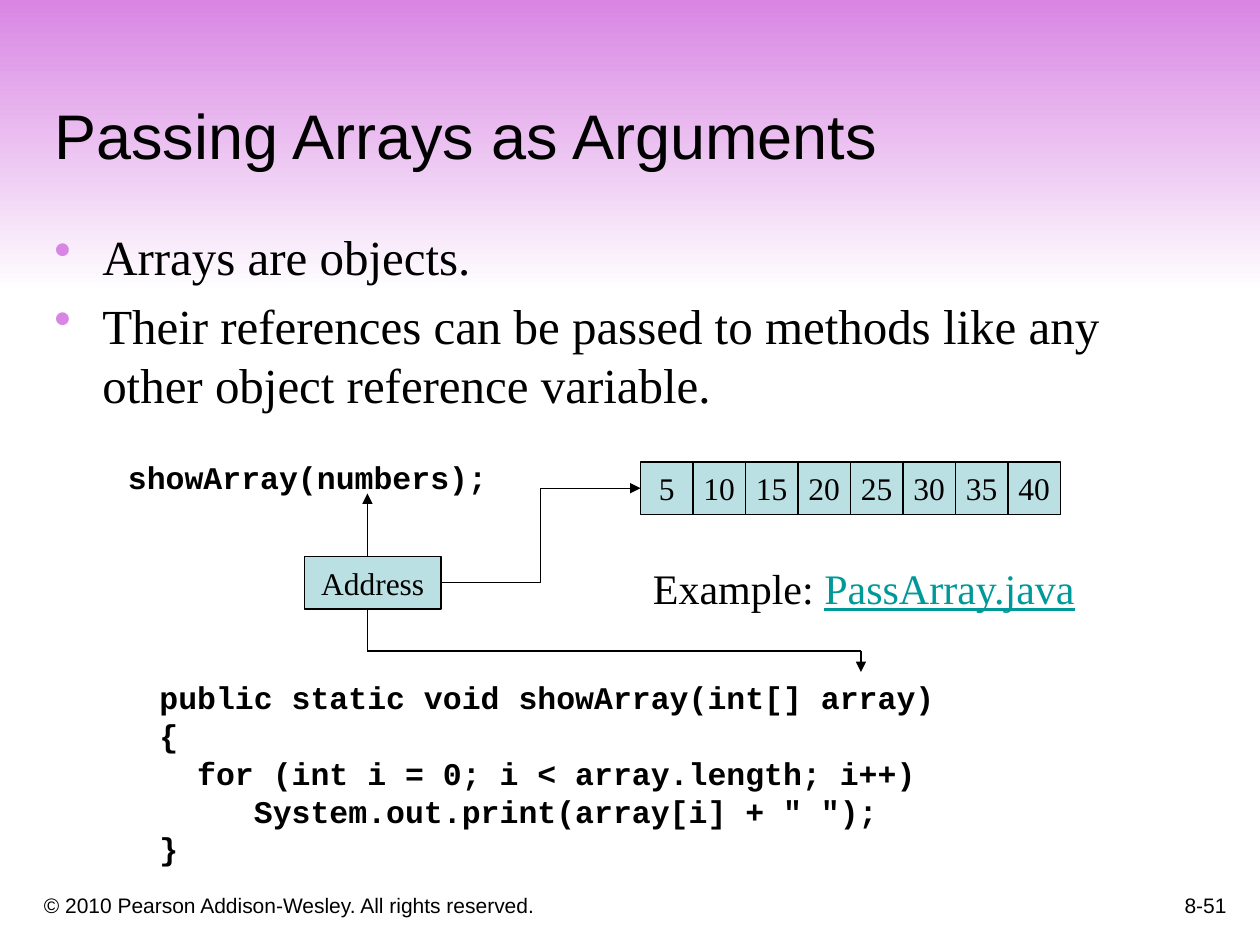
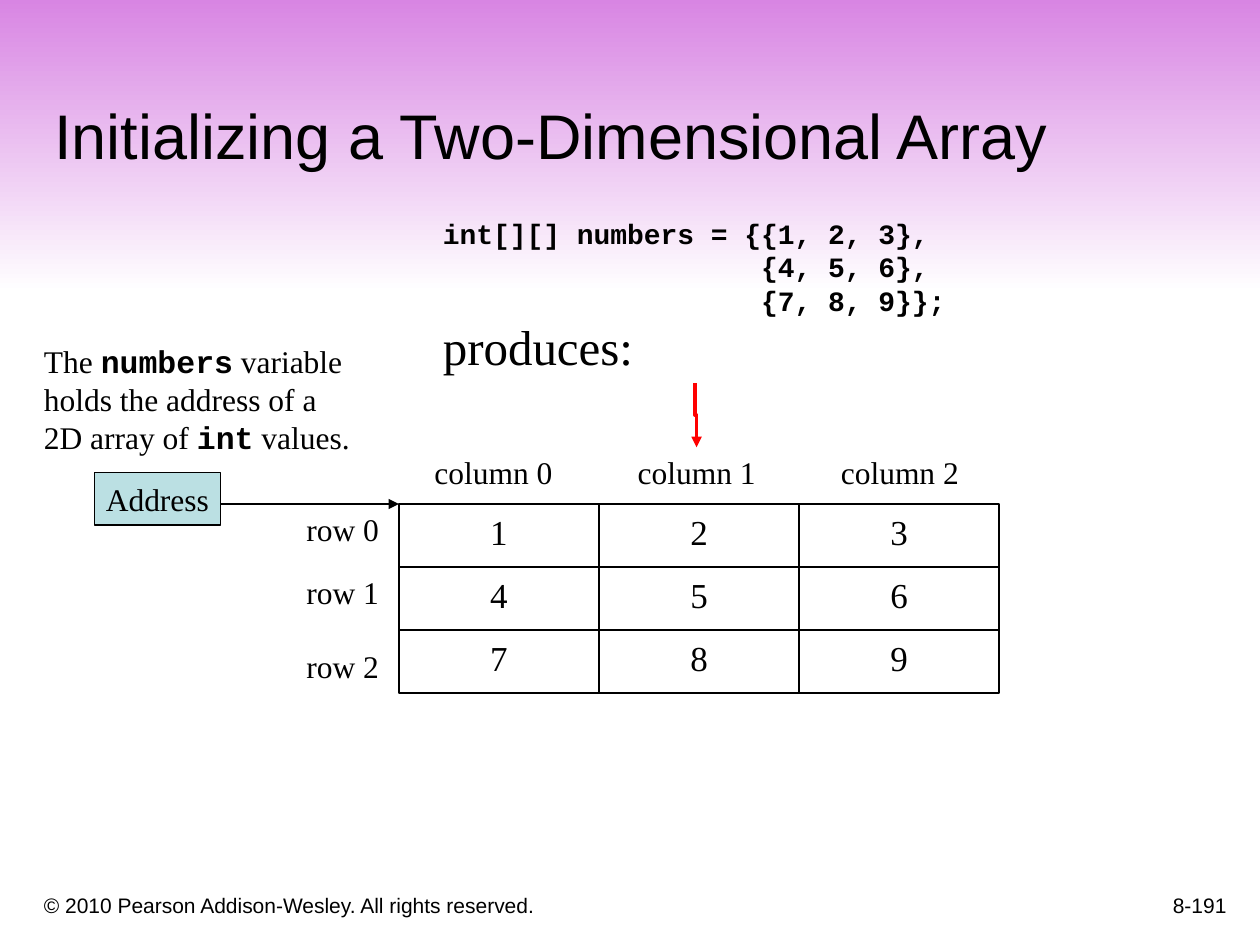
from dataclasses import dataclass
from typing import NamedTuple

from lxml import etree
from pptx import Presentation
from pptx import util as u
from pptx.dml.color import RGBColor
from pptx.enum import shapes, text
from pptx.oxml.ns import qn

COLUMNS = 120
ROWS = 90
CELL = u.Inches(10) / COLUMNS


@dataclass(frozen=True)
class Theme:
    accent: str = "D885E3"
    paper: str = "FFFFFF"
    ink: str = "000000"
    box: str = "BBE0E3"
    link: str = "009999"
    pointer: str = "FF0000"
    heading: str = "Arial"
    body: str = "Times New Roman"
    code: str = "Courier New"
    title_size: int = 36
    body_size: int = 28
    example_size: int = 24
    matrix_size: int = 20
    label_size: int = 18
    listing_size: int = 16
    footer_size: int = 12
    leading: float = 1.2
    thin: float = 0.75
    medium: float = 1
    thick: float = 2


T = Theme()


class Area(NamedTuple):
    col: float
    row: float
    cols: float
    rows: float


class Point(NamedTuple):
    col: float
    row: float


@dataclass(frozen=True)
class Run:
    words: str
    size: int = T.label_size
    font: str = T.body
    color: str = T.ink
    bold: bool = False
    underline: bool = False


@dataclass(frozen=True)
class Frame:
    anchor: text.MSO_ANCHOR = text.MSO_ANCHOR.TOP
    align: text.PP_ALIGN = text.PP_ALIGN.LEFT
    wrap: bool = True
    grow: bool = False
    bullet: bool = False


LABEL = Frame(wrap=False, grow=True)
FOOT = Frame(anchor=text.MSO_ANCHOR.BOTTOM)
PAGE = Frame(anchor=text.MSO_ANCHOR.BOTTOM, align=text.PP_ALIGN.RIGHT)
BOX = Frame(anchor=text.MSO_ANCHOR.MIDDLE, align=text.PP_ALIGN.CENTER, wrap=False)
MATRIX = Frame(align=text.PP_ALIGN.CENTER)
BULLETS = Frame(bullet=True)

Lines = list[list[Run]]


def grid(n: float) -> int:
    return round(n * CELL)


def place(area: Area) -> list[int]:
    return [grid(n) for n in area]


def rgb(color: str) -> RGBColor:
    return RGBColor.from_string(color)


def code(words: str, size: int = T.label_size) -> Run:
    return Run(words, size, T.code, bold=True)


def add_bullet(p) -> None:
    pPr = p._p.get_or_add_pPr()
    pPr.set("marL", str(u.Inches(0.38)))
    pPr.set("indent", str(u.Inches(-0.38)))
    tint = etree.SubElement(pPr, qn("a:buClr"))
    etree.SubElement(tint, qn("a:srgbClr"), val=T.accent)
    etree.SubElement(pPr, qn("a:buChar"), char="•")


def fill_text(tf, lines: Lines, frame: Frame) -> None:
    tf.word_wrap = frame.wrap
    tf.vertical_anchor = frame.anchor
    tf.auto_size = (text.MSO_AUTO_SIZE.SHAPE_TO_FIT_TEXT if frame.grow
                    else text.MSO_AUTO_SIZE.NONE)
    for i, runs in enumerate(lines):
        p = tf.add_paragraph() if i else tf.paragraphs[0]
        size = max(run.size for run in runs)
        if frame.bullet:
            add_bullet(p)
            if i:
                p.space_before = u.Pt(0.2 * size)
        p.alignment = frame.align
        p.line_spacing = u.Pt(T.leading * size)
        for run in runs:
            r = p.add_run()
            r.text = run.words
            r.font.name = run.font
            r.font.size = u.Pt(run.size)
            r.font.bold = run.bold
            r.font.underline = run.underline
            r.font.color.rgb = rgb(run.color)


def add_text(s, area: Area, lines: Lines, frame: Frame = LABEL):
    sp = s.shapes.add_textbox(*place(area))
    fill_text(sp.text_frame, lines, frame)
    return sp


def add_box(s, area: Area, run: Run, frame: Frame = BOX,
            fill: str | None = T.box, width: float = T.thin):
    sp = s.shapes.add_shape(shapes.MSO_SHAPE.RECTANGLE, *place(area))
    sp.shadow.inherit = False
    if fill:
        sp.fill.solid()
        sp.fill.fore_color.rgb = rgb(fill)
    else:
        sp.fill.background()
    sp.line.color.rgb = rgb(T.ink)
    sp.line.width = u.Pt(width)
    fill_text(sp.text_frame, [[run]], frame)
    return sp


def add_line(s, start: Point, end: Point, arrow: bool = True, color: str = T.ink,
             width: float = T.thin, bent: bool = False):
    kind = shapes.MSO_CONNECTOR.ELBOW if bent else shapes.MSO_CONNECTOR.STRAIGHT
    line = s.shapes.add_connector(kind, *place(Area(*start, *end)))
    line.line.color.rgb = rgb(color)
    line.line.width = u.Pt(width)
    if arrow:
        etree.SubElement(line.get_or_add_ln(), qn("a:tailEnd"), type="triangle")
    etree.SubElement(line._element.spPr, qn("a:effectLst"))
    return line


def add_vertical_elbow(s, start: Point, end: Point, color: str, width: float) -> None:
    mid = Point((start.col + end.col) / 2, (start.row + end.row) / 2)
    dx, dy = (end.col - start.col) / 2, (end.row - start.row) / 2
    line = add_line(s, Point(mid.col + dy, mid.row - dx),
                    Point(mid.col - dy, mid.row + dx),
                    color=color, width=width, bent=True)
    line._element.spPr.find(qn("a:xfrm")).set("rot", str(270 * 60000))


def add_slide(prs, title: str, page: str):
    s = prs.slides.add_slide(prs.slide_layouts[6])
    s.background.fill.solid()
    s.background.fill.fore_color.rgb = rgb(T.paper)
    band = s.shapes.add_shape(shapes.MSO_SHAPE.PENTAGON, *place(Area(0, -0.1, COLUMNS, 28)))
    band.adjustments[0] = 0
    band.shadow.inherit = False
    band.line.fill.background()
    band.fill.gradient()
    band.fill.gradient_angle = 270
    for stop, color in zip(band.fill.gradient_stops, (T.accent, T.paper)):
        stop.color.rgb = rgb(color)
    notice = "© 2010 Pearson Addison-Wesley. All rights reserved."
    for area, words, size, frame in (
        (Area(3, 83, 73, 5), notice, T.footer_size, FOOT),
        (Area(93, 82, 25, 6), page, T.footer_size, PAGE),
        (Area(4, 4, 113, 13), title, T.title_size, FOOT),
    ):
        add_text(s, area, [[Run(words, size, T.heading)]], frame)
    return s


def passing_arrays(prs) -> None:
    s = add_slide(prs, "Passing Arrays as Arguments", "8-51")
    points = ["Arrays are objects.",
              "Their references can be passed to methods like any other object "
              "reference variable."]
    body = add_text(s, Area(4, 21, 108.8, 25.2),
                    [[Run(words, T.body_size)] for words in points], BULLETS)
    body.text_frame.margin_right = 0

    side = 5
    cells = [add_box(s, Area(61 + side * i, 44, side, side), Run(str(side * (i + 1))))
             for i in range(8)]
    address = add_box(s, Area(29, 53, 13, side), Run("Address"))
    add_text(s, Area(11, 43, 36.6, 4.8), [[code("showArray(numbers);")]])
    link = add_line(s, Point(42, 55.5), Point(61, 46.5), bent=True)
    link.begin_connect(address, 3)
    link.end_connect(cells[0], 1)

    listing = ["public static void showArray(int[] array)",
               "{",
               "  for (int i = 0; i < array.length; i++)",
               '     System.out.print(array[i] + " ");',
               "}"]
    add_text(s, Area(14, 64, 76.2, 19.2), [[code(words)] for words in listing])
    add_line(s, Point(35, 53), Point(35, 47))
    route = [Point(35, 58), Point(35, 62), Point(82, 62), Point(82, 64)]
    for start, end in zip(route, route[1:]):
        add_line(s, start, end, arrow=end is route[-1])
    add_text(s, Area(61, 53, 42.8, 6),
             [[Run("Example: ", T.example_size),
               Run("PassArray.java", T.example_size, color=T.link, underline=True)]])


def two_dimensional_array(prs) -> None:
    s = add_slide(prs, "Initializing a Two-Dimensional Array", "8-191")
    size = 3
    left, top, width, height = 38, 48, 19.05, 6
    for i in range(size * size):
        row, col = divmod(i, size)
        add_box(s, Area(left + width * col, top + height * row, width, height),
                Run(str(i + 1), T.matrix_size), MATRIX, None, T.medium)
    for col in range(size):
        add_text(s, Area(40.2 + 19.35 * col, 42.6, 13.7, 4.8), [[Run(f"column {col}")]])
    for row, y in enumerate((48, 54, 61)):
        add_text(s, Area(28, y, 9.4, 4.8), [[Run(f"row {row}")]])

    add_box(s, Area(9, 45, 12, 5), Run("Address"))
    add_line(s, Point(21, top), Point(left, top))
    add_text(s, Area(3, 32, 31.6, 12),
             [[Run("The "), code("numbers"), Run(" variable")],
              [Run("holds the address of a")],
              [Run("2D array of "), code("int"), Run(" values.")]])

    listing = ["int[][] numbers = {{1, 2, 3},",
               "                   {4, 5, 6},",
               "                   {7, 8, 9}};"]
    add_text(s, Area(41, 20, 50.4, 16.4),
             [[code(words, T.listing_size)] for words in listing]
             + [[Run("produces:", T.body_size)]])
    add_vertical_elbow(s, Point(66.2, 36.5), Point(66.35, 42.6), T.pointer, T.thick)


def main() -> None:
    prs = Presentation()
    prs.slide_width = grid(COLUMNS)
    prs.slide_height = grid(ROWS)
    passing_arrays(prs)
    two_dimensional_array(prs)
    prs.save("out.pptx")


if __name__ == "__main__":
    main()
